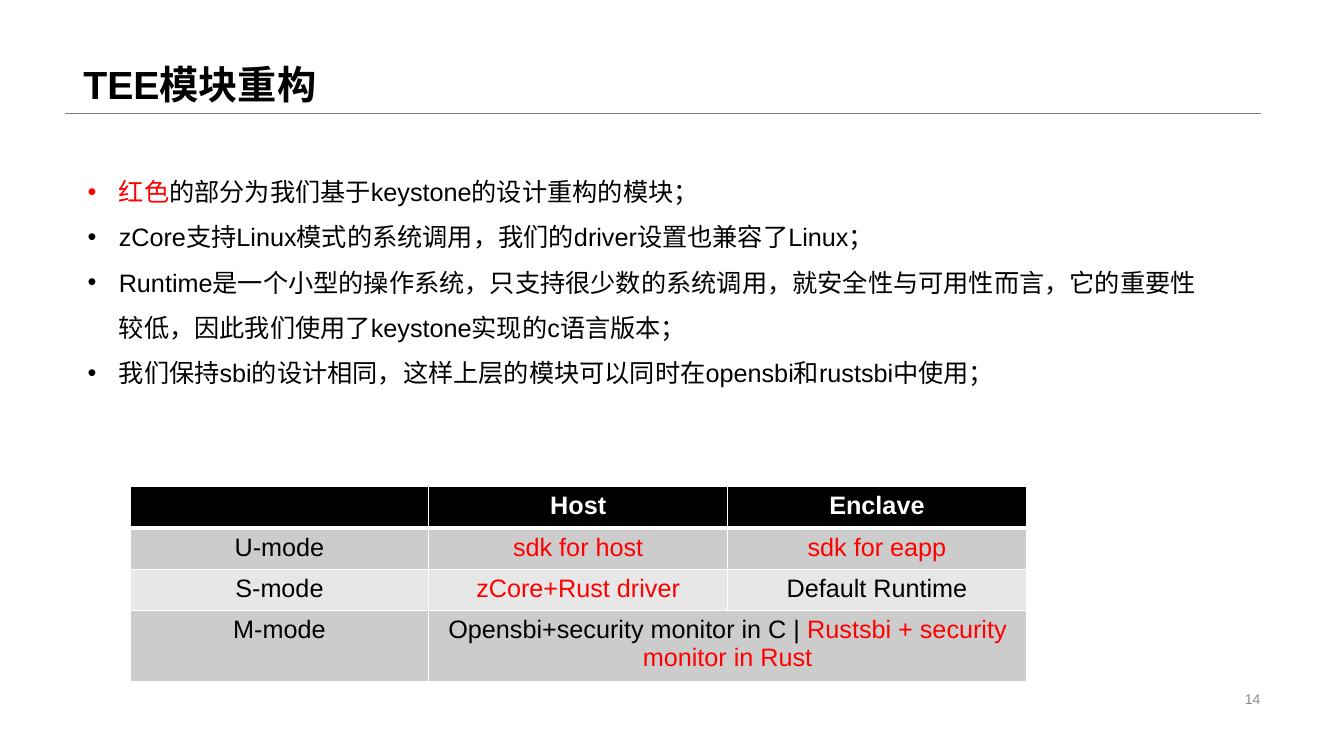
from dataclasses import dataclass

from lxml import etree
from pptx import Presentation
from pptx import util as u
from pptx.dml.color import RGBColor
from pptx.enum import shapes, text
from pptx.oxml import ns

PX = 9144
FONT = "Arial"
BLACK, WHITE, RED = "000000", "FFFFFF", "FF0000"
HEADER_FILL, DARK_BAND, LIGHT_BAND = "000000", "CCCCCC", "E7E7E7"
INDENT = 31


@dataclass(frozen=True)
class Span:
    words: str
    color: str = BLACK


@dataclass(frozen=True)
class Label:
    left: int
    top: int
    width: int
    height: int
    paragraphs: tuple[tuple[Span, ...], ...]
    size: int
    bold: bool = False
    align: text.PP_ALIGN = text.PP_ALIGN.LEFT
    anchor: text.MSO_ANCHOR = text.MSO_ANCHOR.TOP
    spacing: float = 1.0
    bulleted: bool = False


@dataclass(frozen=True)
class Row:
    height: int
    fill: str
    cells: tuple[tuple[Span, ...], ...]
    bold: bool = False
    bottom_border: int = 1


LABELS = (
    Label(73, 0, 1187, 112, ((Span("TEE模块重构"),),), 28, bold=True,
          anchor=text.MSO_ANCHOR.BOTTOM, spacing=0.9),
    Label(942, 682, 318, 23, ((Span("14", "8C8C8C"),),), 10,
          align=text.PP_ALIGN.RIGHT, anchor=text.MSO_ANCHOR.MIDDLE),
    Label(77, 155, 1132, 232, (
        (Span("红色", RED), Span("的部分为我们基于keystone的设计重构的模块；")),
        (Span("zCore支持Linux模式的系统调用，我们的driver设置也兼容了Linux；"),),
        (Span("Runtime是一个小型的操作系统，只支持很少数的系统调用，就安全性与可用性而言，"
              "它的重要性较低，因此我们使用了keystone实现的c语言版本；"),),
        (Span("我们保持sbi的设计相同，这样上层的模块可以同时在opensbi和rustsbi中使用；"),),
    ), 18, spacing=1.5, bulleted=True),
)

ROWS = (
    Row(41, HEADER_FILL, ((), (Span("Host", WHITE),), (Span("Enclave", WHITE),)),
        bold=True, bottom_border=3),
    Row(41, DARK_BAND, ((Span("U-mode"),), (Span("sdk for host", RED),),
                        (Span("sdk for eapp", RED),))),
    Row(41, LIGHT_BAND, ((Span("S-mode"),), (Span("zCore+Rust driver", RED),),
                         (Span("Default Runtime"),))),
    Row(69, DARK_BAND, ((Span("M-mode"),),
                        (Span("Opensbi+security monitor in C | "),
                         Span("Rustsbi + security monitor in Rust", RED)), ())),
)


def px(length: int) -> u.Emu:
    return u.Emu(length * PX)


def rgb(color: str) -> RGBColor:
    return RGBColor.from_string(color)


def add_bullet(para) -> None:
    properties = para._p.get_or_add_pPr()
    properties.set("marL", str(px(INDENT)))
    properties.set("indent", str(px(-INDENT)))
    etree.SubElement(properties, ns.qn("a:buFont"), typeface=FONT)
    etree.SubElement(properties, ns.qn("a:buChar"), char="•")


def write(para, spans: tuple[Span, ...], size: int, bold: bool,
          align: text.PP_ALIGN) -> None:
    para.alignment = align
    para.font.name = FONT
    para.font.size = u.Pt(size)
    para.font.bold = bold
    for span in spans:
        run = para.add_run()
        run.text = span.words
        run.font.color.rgb = rgb(span.color)


def draw_label(page, label: Label) -> None:
    box = page.shapes.add_textbox(px(label.left), px(label.top),
                                  px(label.width), px(label.height))
    frame = box.text_frame
    frame.word_wrap = True
    frame.vertical_anchor = label.anchor
    for index, spans in enumerate(label.paragraphs):
        para = frame.add_paragraph() if index else frame.paragraphs[0]
        para.line_spacing = label.spacing
        if label.bulleted:
            add_bullet(para)
        write(para, spans, label.size, label.bold, label.align)


def draw_rule(page) -> None:
    rule = page.shapes.add_connector(shapes.MSO_CONNECTOR.STRAIGHT,
                                     px(64), px(112), px(1251), px(112))
    rule.line.color.rgb = rgb("808080")
    rule.line.width = u.Pt(0.25)
    etree.SubElement(rule._element.spPr, ns.qn("a:effectLst"))


def add_border(cell, side: str, points: int) -> None:
    border = etree.SubElement(cell._tc.get_or_add_tcPr(), ns.qn(f"a:ln{side}"),
                              w=str(u.Pt(points)))
    fill = etree.SubElement(border, ns.qn("a:solidFill"))
    etree.SubElement(fill, ns.qn("a:srgbClr"), val=WHITE)


def draw_modes(page, rows: tuple[Row, ...]) -> None:
    columns = len(rows[0].cells)
    height = sum(row.height for row in rows)
    table = page.shapes.add_table(len(rows), columns, px(129), px(483),
                                  px(889), px(height)).table
    above = 1
    for row_index, row in enumerate(rows):
        table.rows[row_index].height = px(row.height)
        for column, spans in enumerate(row.cells):
            cell = table.cell(row_index, column)
            for side, points in (("L", 1), ("R", 1), ("T", above),
                                 ("B", row.bottom_border)):
                add_border(cell, side, points)
            cell.fill.solid()
            cell.fill.fore_color.rgb = rgb(row.fill)
            write(cell.text_frame.paragraphs[0], spans, 18, row.bold,
                  text.PP_ALIGN.CENTER)
        above = row.bottom_border
    last = len(rows) - 1
    table.cell(last, 1).merge(table.cell(last, 2))


def main() -> None:
    deck = Presentation()
    deck.slide_width, deck.slide_height = px(1333), px(750)
    page = deck.slides.add_slide(deck.slide_layouts[6])
    draw_rule(page)
    for label in LABELS:
        draw_label(page, label)
    draw_modes(page, ROWS)
    deck.save("out.pptx")


if __name__ == "__main__":
    main()
